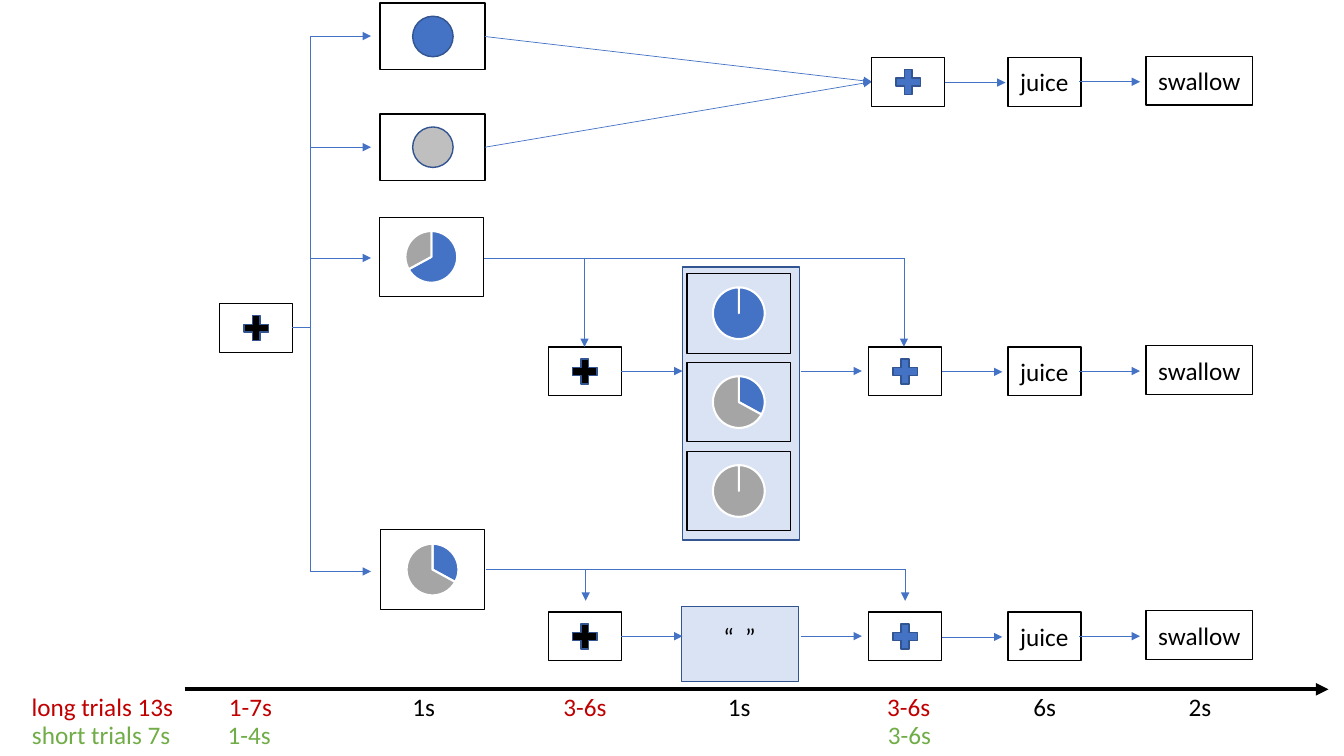
from dataclasses import dataclass
from typing import NamedTuple

from pptx import Presentation
from pptx.chart.data import CategoryChartData
from pptx.dml.color import RGBColor
from pptx.enum.chart import XL_CHART_TYPE
from pptx.enum.shapes import MSO_CONNECTOR, MSO_SHAPE
from pptx.enum.text import MSO_ANCHOR, PP_ALIGN
from pptx.oxml import parse_xml
from pptx.oxml.ns import nsdecls, qn
from pptx.util import Cm, Pt

RECT, OVAL, PLUS = MSO_SHAPE.RECTANGLE, MSO_SHAPE.OVAL, MSO_SHAPE.MATH_PLUS
STRAIGHT = MSO_CONNECTOR.STRAIGHT
PIE = XL_CHART_TYPE.PIE
MIDDLE = MSO_ANCHOR.MIDDLE
LEFT, CENTER = PP_ALIGN.LEFT, PP_ALIGN.CENTER


@dataclass(frozen=True)
class Theme:
    font: str = "Calibri"
    size: int = 18
    small: int = 10
    black: str = "000000"
    white: str = "FFFFFF"
    blue: str = "4472C4"
    navy: str = "325491"
    pale: str = "DAE3F3"
    silver: str = "BFBFBF"
    gray: str = "A5A5A5"
    red: str = "C00000"
    green: str = "70AD47"
    thin: float = 0.5
    edge: float = 1
    thick: float = 3


class Box(NamedTuple):
    x: float
    y: float
    w: float
    h: float


class Line(NamedTuple):
    x1: float
    y1: float
    x2: float
    y2: float
    arrow: bool = True


class Label(NamedTuple):
    text: str
    mid: float
    y: float
    w: float
    color: str


class Share(NamedTuple):
    x: float
    y: float
    blue: int
    gray: int


T = Theme()
FIX_W, FIX_H = 1.84, 1.23
CUE_W, CUE_H, PIE_H = 2.64, 1.68, 2.03
STEP = 1.53  # length of a short arrow
TRUNK, CUE_X, HALF = 7.82, 9.58, 0.84
CUES = (0.08, 2.87)
MID_X, FIX_X = 13.82, 21.89
TOP, LONG, SHORT = 1.45, 8.74, 15.42
PANELS = (Box(17.17, 15.29, 2.95, 1.88), Box(17.2, 6.73, 2.95, 6.88))

deck = Presentation()
deck.slide_width, deck.slide_height = Cm(33.87), Cm(19.05)
slide = deck.slides.add_slide(deck.slide_layouts[6])
shapes = slide.shapes


def rgb(code: str) -> RGBColor:
    return RGBColor.from_string(code)


def write(frame, text: str, color: str, align=CENTER) -> None:
    para = frame.paragraphs[0]
    para.alignment = align
    run = para.add_run()
    run.text = text
    run.font.name, run.font.size = T.font, Pt(T.size)
    run.font.color.rgb = rgb(color)


def draw(kind, box: Box, fill: str = "", edge: str = T.black, text: str = "") -> None:
    shape = shapes.add_shape(kind, *map(Cm, box))
    shape.shadow.inherit = False
    if fill:
        shape.fill.solid()
        shape.fill.fore_color.rgb = rgb(fill)
    else:
        shape.fill.background()
    shape.line.color.rgb, shape.line.width = rgb(edge), Pt(T.edge)
    if text:
        shape.text_frame.vertical_anchor = MIDDLE
        write(shape.text_frame, text, T.black)


def link(line: Line, color: str = T.blue, width: float = T.thin) -> None:
    joint = shapes.add_connector(STRAIGHT, *map(Cm, line[:4]))
    joint.line.color.rgb, joint.line.width = rgb(color), Pt(width)
    if line.arrow:
        joint.line._get_or_add_ln().append(
            parse_xml(f'<a:tailEnd {nsdecls("a")} type="triangle"/>'))
    joint._element.spPr.append(parse_xml(f'<a:effectLst {nsdecls("a")}/>'))


def note(box: Box, text: str, color: str, align=CENTER, wrap: bool = True) -> None:
    frame = shapes.add_textbox(*map(Cm, box)).text_frame
    frame.word_wrap = wrap
    write(frame, text, color, align)


def cross(x: float, y: float, color: str) -> None:
    """Draw a fixation screen: a frame with a plus sign."""
    draw(RECT, Box(x, y, FIX_W, FIX_H))
    draw(PLUS, Box(x + 0.5, y + 0.19, 0.84, 0.86), color, T.navy)


def pie(share: Share) -> None:
    data = CategoryChartData()
    data.categories = ["1", "2"]
    data.add_series("Series 1", (share.blue, share.gray))
    box = Box(share.x, share.y, CUE_W, PIE_H)
    chart = shapes.add_chart(PIE, *map(Cm, box), data).chart
    chart.has_title = chart.has_legend = False
    chart.font.name, chart.font.size = T.font, Pt(T.small)
    chart.font.color.rgb = rgb(T.black)
    plot = chart.plots[0]
    plot.vary_by_categories = True
    for i, color in enumerate((T.blue, T.gray)):
        part = plot.series[0].points[i].format
        part.fill.solid()
        part.fill.fore_color.rgb = rgb(color)
        part.line.color.rgb, part.line.width = rgb(T.white), Pt(1.5)

    root = chart._chartSpace
    root.insert(0, parse_xml(f'<c:roundedCorners {nsdecls("c")} val="0"/>'))
    root.find(qn("c:chart")).addnext(parse_xml(
        f'<c:spPr {nsdecls("c", "a")}><a:noFill/><a:ln w="9525"><a:solidFill>'
        f'<a:srgbClr val="{T.black}"/></a:solidFill></a:ln></c:spPr>'))
    area = root.find(".//" + qn("c:plotArea"))
    for old in area.findall(qn("c:layout")):
        area.remove(old)
    sides = "".join(f'<c:{k} val="{v}"/>' for k, v in
                    (("x", 0.25), ("y", 0.17), ("w", 0.5), ("h", 0.66)))
    area.insert(0, parse_xml(
        f'<c:layout {nsdecls("c")}><c:manualLayout><c:layoutTarget val="inner"/>'
        f'<c:xMode val="edge"/><c:yMode val="edge"/>{sides}'
        '</c:manualLayout></c:layout>'))


for panel in PANELS:
    draw(RECT, panel, T.pale, T.navy)

# Start screen and its four branches
cross(5.54, 7.65, T.black)
link(Line(TRUNK, 0.91, TRUNK, 14.4, False))
link(Line(7.37, 8.26, TRUNK, 8.26, False))
for y in (0.91, 3.71, 6.5, 14.4):
    link(Line(TRUNK, y, TRUNK + STEP, y))

# Certain cues
for y, color in zip(CUES, (T.blue, T.silver)):
    draw(RECT, Box(CUE_X, y, CUE_W, CUE_H))
    draw(OVAL, Box(CUE_X + 0.82, y + 0.33, 1.02, 1.02), color, T.navy)
    link(Line(CUE_X + CUE_W, y + HALF, 21.97, 2.06))

# Uncertain cues and their outcomes
for share in (Share(9.55, 5.46, 67, 33), Share(CUE_X, 13.34, 33, 67)):
    pie(share)
for i, (blue, gray) in enumerate(((100, 0), (33, 67), (0, 100))):
    pie(Share(17.3, 6.88 + 2.24 * i, blue, gray))

# Second screen of the long and short trials
for y in (LONG, SHORT):
    cross(MID_X, y, T.black)
    link(Line(MID_X + FIX_W, y + 0.61, 17.2, y + 0.61))
    link(Line(20.19, y + 0.61, 20.19 + STEP, y + 0.61))
note(Box(17.98, 15.52, CUE_W, 1.02), "“  ”", T.black, LEFT)

# Juice and swallow at the end of each row
for x, y in ((21.97, TOP), (FIX_X, LONG), (FIX_X, SHORT)):
    cross(x, y, T.blue)
    link(Line(x + FIX_W, y + 0.63, x + FIX_W + STEP, y + 0.63))
    draw(RECT, Box(25.4, y, FIX_W, FIX_H), text="juice")
    link(Line(27.2, y + 0.61, 27.2 + STEP, y + 0.61))
    draw(RECT, Box(28.88, y - 0.03, 2.69, FIX_H), text="swallow")

# Drops from the uncertain cues
for left, y, mid, right, low in ((12.19, 6.5, 14.73, 22.78, 8.74),
                                 (12.24, 14.35, 14.76, 22.81, 15.14)):
    link(Line(left, y, right, y, False))
    for x in (mid, right):
        link(Line(x, y, x, low))

# Time axis
link(Line(4.65, 17.37, 33.48, 17.37), T.black, T.thick)
ROW1, ROW2, WIDE, SPAN, SLIM = 17.3, 18.01, 4.9, 1.6, 1.09
LABELS = (
    Label("long trials 13s", 2.58, ROW1, WIDE, T.red),
    Label("1-7s", 6.31, ROW1, SPAN, T.red),
    Label("1s", 10.68, ROW1, SLIM, T.black),
    Label("3-6s", 14.74, ROW1, SPAN, T.red),
    Label("1s", 18.63, ROW1, SLIM, T.black),
    Label("3-6s", 22.9, ROW1, SPAN, T.red),
    Label("6s", 26.33, ROW1, SLIM, T.black),
    Label("2s", 30.24, ROW1, SLIM, T.black),
    Label("short trials 7s", 2.55, ROW2, WIDE, T.green),
    Label("1-4s", 6.28, ROW2, SPAN, T.green),
    Label("3-6s", 22.92, ROW2, SPAN, T.green),
)
for text, mid, y, w, color in LABELS:
    note(Box(mid - w / 2, y, w, 1.02), text, color, wrap=w == WIDE)

deck.save("out.pptx")
